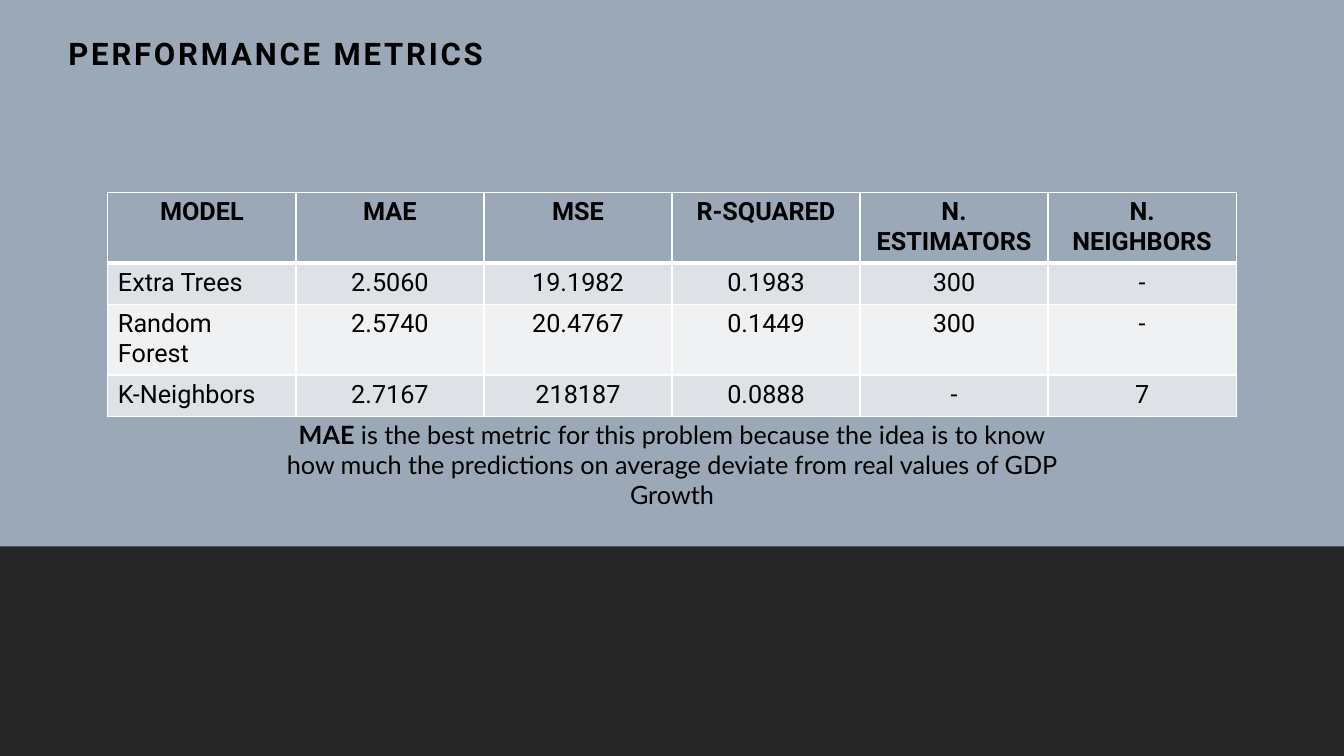
import pptx
import pptx.util
import pptx.dml.color
import pptx.enum.shapes
import pptx.enum.text
import pptx.oxml
import pptx.oxml.ns
from pptx.util import Inches

COLORS = {
    "black": "000000",
    "white": "FFFFFF",
    "slate": "9BA8B7",
    "charcoal": "262626",
    "odd_row": "DEE1E6",
    "even_row": "EFF1F3",
}
CENTER = pptx.enum.text.PP_ALIGN.CENTER


def paint(fill, color):
    fill.solid()
    fill.fore_color.rgb = pptx.dml.color.RGBColor.from_string(COLORS[color])


def style(font, name, size, bold):
    font.name = name
    font.size = pptx.util.Pt(size)
    font.bold = bold
    paint(font.fill, "black")


presentation = pptx.Presentation()
presentation.slide_width = Inches(13.33)
presentation.slide_height = Inches(7.5)
slide = presentation.slides.add_slide(presentation.slide_layouts[6])
paint(slide.background.fill, "black")

# Backdrop and bottom band
for top, height, color in [(0, 7.5, "slate"), (5.42, 2.08, "charcoal")]:
    band = slide.shapes.add_shape(
        pptx.enum.shapes.MSO_SHAPE.RECTANGLE,
        0, Inches(top), Inches(13.33), Inches(height))
    band.shadow.inherit = False
    paint(band.fill, color)
    band.line.fill.background()

# Title
title = slide.shapes.add_textbox(Inches(0.58), Inches(0.26), Inches(4.78), Inches(0.48))
title.text_frame.word_wrap = True
heading = title.text_frame.paragraphs[0]
heading.text = "PERFORMANCE METRICS"
heading.line_spacing = 1.1
heading.space_before = pptx.util.Pt(12)
heading.space_after = pptx.util.Pt(2)
style(heading.font, "Roboto", 22.2, True)
heading.runs[0].font._element.set("spc", "200")

# Metrics table
metrics = [
    ["MODEL", "MAE", "MSE", "R-SQUARED", "N. ESTIMATORS", "N. NEIGHBORS"],
    ["Extra Trees", "2.5060", "19.1982", "0.1983", "300", "-"],
    ["Random Forest", "2.5740", "20.4767", "0.1449", "300", "-"],
    ["K-Neighbors", "2.7167", "218187", "0.0888", "-", "7"],
]
row_colors = ["slate", "odd_row", "even_row", "odd_row"]
metrics_table = slide.shapes.add_table(
    len(metrics), len(metrics[0]),
    Inches(1.07), Inches(1.91), Inches(11.19), Inches(1.62)).table

for row, values in enumerate(metrics):
    metrics_table.rows[row].height = Inches(0.41)
    for column, value in enumerate(values):
        cell = metrics_table.cell(row, column)
        cell.text = value
        entry = cell.text_frame.paragraphs[0]
        style(entry.font, "Roboto", 18, row == 0)
        if row == 0 or column > 0:
            entry.alignment = CENTER

        # White borders, with a heavier rule between header and body
        cell_properties = cell._tc.get_or_add_tcPr()
        for side in ["L", "R", "T", "B"]:
            under_header = (row, side) in [(0, "B"), (1, "T")]
            width = pptx.util.Pt(3 if under_header else 1)
            cell_properties.append(pptx.oxml.parse_xml(
                f'<a:ln{side} {pptx.oxml.ns.nsdecls("a")} w="{width}"><a:solidFill>'
                f'<a:srgbClr val="{COLORS["white"]}"/></a:solidFill></a:ln{side}>'))
        paint(cell.fill, row_colors[row])

# Takeaway below the table
takeaway = slide.shapes.add_textbox(Inches(2.63), Inches(4.11), Inches(8.07), Inches(1.01))
takeaway.text_frame.word_wrap = True
sentence = takeaway.text_frame.paragraphs[0]
sentence.alignment = CENTER
for words, bold in [
    ("MAE", True),
    (" is the best metric for this problem because the idea is to know how much "
     "the predictions on average deviate from real values of GDP Growth", False),
]:
    run = sentence.add_run()
    run.text = words
    style(run.font, "Lato", 18, bold)

presentation.save("out.pptx")
